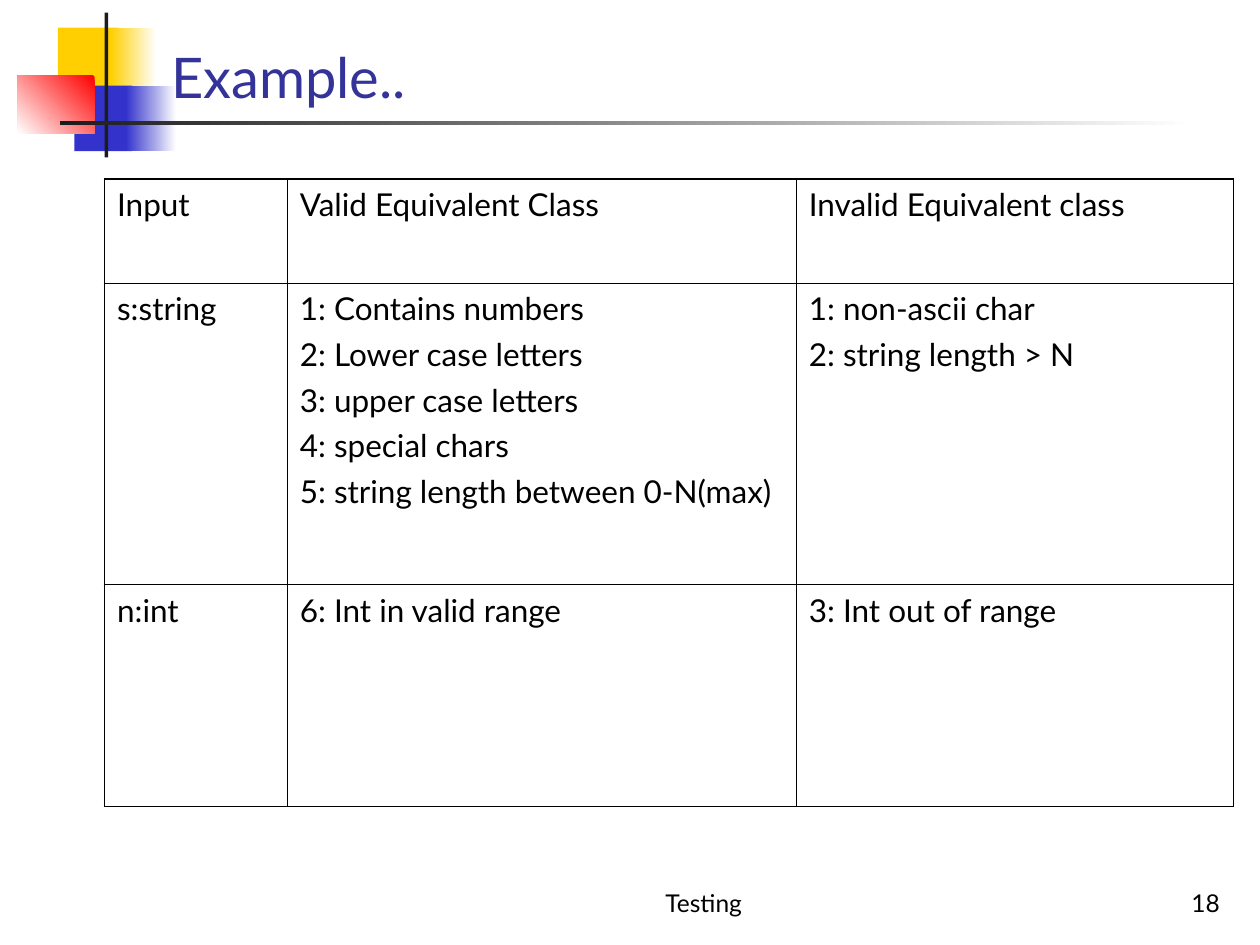
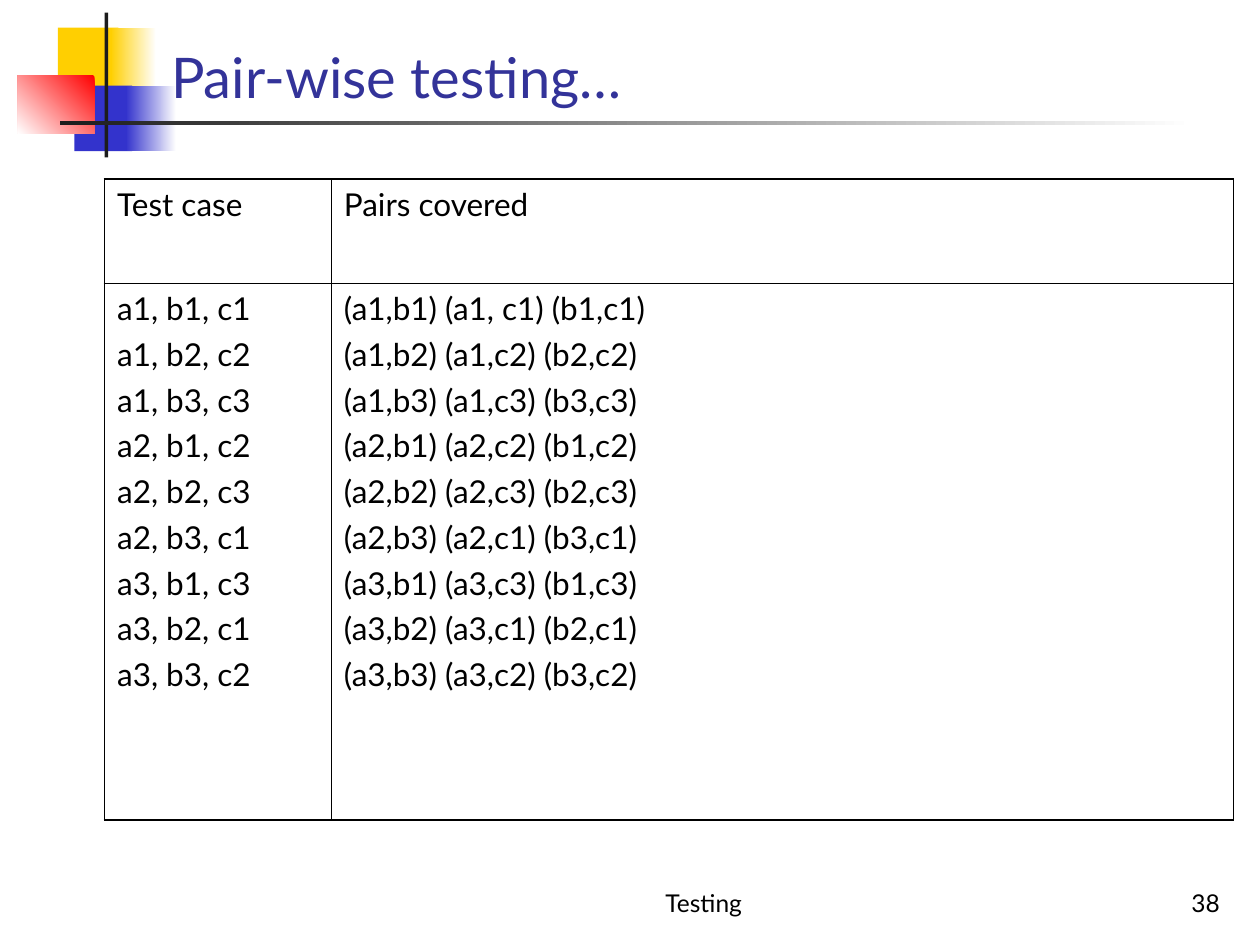
from dataclasses import dataclass
from typing import NamedTuple

from lxml import etree
from pptx import Presentation
from pptx.dml.color import RGBColor
from pptx.enum.shapes import MSO_SHAPE
from pptx.enum.text import MSO_ANCHOR, PP_ALIGN
from pptx.oxml.ns import qn
from pptx.slide import Slide
from pptx.table import _Cell
from pptx.text.text import TextFrame
from pptx.util import Inches, Pt

RECTANGLE = MSO_SHAPE.RECTANGLE
BOTTOM = MSO_ANCHOR.BOTTOM
LEFT, CENTER, RIGHT = PP_ALIGN.LEFT, PP_ALIGN.CENTER, PP_ALIGN.RIGHT


@dataclass(frozen=True)
class Theme:
    font: str = "Lato"
    title: str = "333399"
    ink: str = "000000"
    paper: str = "FFFFFF"
    yellow: str = "FFCF01"
    blue: str = "3333CC"
    red: str = "FF0000"
    rule: str = "1C1C1C"
    title_size: float = 32
    table_size: float = 18
    footer_size: float = 14
    line_gap: float = 4.5
    outer_border: float = 1.08
    inner_border: float = 0.45


THEME = Theme()


class Box(NamedTuple):
    left: float
    top: float
    width: float
    height: float

    def lengths(self) -> list[int]:
        return [Inches(value) for value in self]


class Block(NamedTuple):
    """A rectangle of the corner ornament; fade_to makes it a gradient."""
    box: Box
    color: str
    fade_to: str | None = None
    angle: float = 180


class TableSlide(NamedTuple):
    title: str
    number: int
    columns: list[float]
    row_heights: list[float]
    rows: list[list[str]]


ORNAMENT = [
    Block(Box(0.46, 0.22, 0.48, 0.52), THEME.yellow),
    Block(Box(0.88, 0.22, 0.36, 0.52), THEME.paper, THEME.yellow),
    Block(Box(0.59, 0.68, 0.46, 0.52), THEME.blue),
    Block(Box(1, 0.68, 0.4, 0.52), THEME.paper, THEME.blue),
    Block(Box(0.14, 0.6, 0.61, 0.46), THEME.red, THEME.paper, 225),
    Block(Box(0.83, 0.1, 0.03, 1.15), THEME.rule),
    Block(Box(0.48, 0.96, 9, 0.03), THEME.paper, THEME.rule),
]
TITLE_BOX = Box(1.26, 0.25, 8.52, 0.67)
FOOTER_BOX = Box(4, 6.83, 3.17, 0.5)
NUMBER_BOX = Box(7.7, 6.83, 2.08, 0.5)
TABLE_LEFT, TABLE_TOP = 0.83, 1.42

EQUIVALENCE = TableSlide(
    "Example..", 18, [1.45, 4.04, 3.47], [0.83, 2.39, 1.76],
    [
        ["Input", "Valid Equivalent Class", "Invalid Equivalent class"],
        [
            "s:string",
            "1: Contains numbers\n2: Lower case letters\n"
            "3: upper case letters\n4: special chars\n"
            "5: string length between 0-N(max)",
            "1: non-ascii char\n2: string length > N",
        ],
        ["n:int", "6: Int in valid range", "3: Int out of range"],
    ],
)
TEST_CASES = """a1, b1, c1
a1, b2, c2
a1, b3, c3
a2, b1, c2
a2, b2, c3
a2, b3, c1
a3, b1, c3
a3, b2, c1
a3, b3, c2"""
PAIRS = """(a1,b1) (a1, c1) (b1,c1)
(a1,b2) (a1,c2) (b2,c2)
(a1,b3) (a1,c3) (b3,c3)
(a2,b1) (a2,c2) (b1,c2)
(a2,b2) (a2,c3) (b2,c3)
(a2,b3) (a2,c1) (b3,c1)
(a3,b1) (a3,c3) (b1,c3)
(a3,b2) (a3,c1) (b2,c1)
(a3,b3) (a3,c2) (b3,c2)"""
PAIRWISE = TableSlide(
    "Pair-wise testing…", 38, [1.8, 7.16], [0.83, 4.26],
    [["Test case", "Pairs covered"], [TEST_CASES, PAIRS]],
)


def write(frame: TextFrame, text: str, *, size: float, color: str = THEME.ink,
          align: PP_ALIGN = LEFT, gap: float = 0) -> None:
    """Write one paragraph per line, with gap points between paragraphs."""
    for index, line in enumerate(text.split("\n")):
        paragraph = frame.add_paragraph() if index else frame.paragraphs[0]
        paragraph.alignment = align
        paragraph.space_before = Pt(gap if index else 0)
        run = paragraph.add_run()
        run.text = line
        run.font.name = THEME.font
        run.font.size = Pt(size)
        run.font.color.rgb = RGBColor.from_string(color)


def add_label(slide: Slide, box: Box, text: str, *, size: float,
              color: str = THEME.ink, align: PP_ALIGN = LEFT) -> None:
    frame = slide.shapes.add_textbox(*box.lengths()).text_frame
    frame.word_wrap = True
    frame.vertical_anchor = BOTTOM
    write(frame, text, size=size, color=color, align=align)


def add_block(slide: Slide, block: Block) -> None:
    shape = slide.shapes.add_shape(RECTANGLE, *block.box.lengths())
    shape.shadow.inherit = False
    shape.line.fill.background()
    if block.fade_to is None:
        shape.fill.solid()
        shape.fill.fore_color.rgb = RGBColor.from_string(block.color)
        return
    shape.fill.gradient()
    shape.fill.gradient_angle = block.angle
    for stop, color in zip(shape.fill.gradient_stops, (block.color, block.fade_to)):
        stop.color.rgb = RGBColor.from_string(color)


def set_borders(cell: _Cell, outer_sides: dict[str, bool]) -> None:
    """Draw each side, heavier where it lies on the table's edge."""
    properties = cell._tc.get_or_add_tcPr()
    for index, (side, is_outer) in enumerate(outer_sides.items()):
        width = THEME.outer_border if is_outer else THEME.inner_border
        border = etree.Element(qn(f"a:ln{side}"), w=str(int(Pt(width))))
        fill = etree.SubElement(border, qn("a:solidFill"))
        etree.SubElement(fill, qn("a:srgbClr"), val=THEME.ink)
        properties.insert(index, border)


def add_grid(slide: Slide, content: TableSlide) -> None:
    last_row, last_column = len(content.rows) - 1, len(content.columns) - 1
    box = Box(TABLE_LEFT, TABLE_TOP, sum(content.columns), sum(content.row_heights))
    table = slide.shapes.add_table(last_row + 1, last_column + 1, *box.lengths()).table
    table.first_row = False
    table.horz_banding = False
    for column, width in zip(table.columns, content.columns):
        column.width = Inches(width)
    for r, (height, texts) in enumerate(zip(content.row_heights, content.rows)):
        table.rows[r].height = Inches(height)
        for c, text in enumerate(texts):
            cell = table.cell(r, c)
            cell.fill.background()
            write(cell.text_frame, text, size=THEME.table_size, gap=THEME.line_gap)
            set_borders(cell, {"L": c == 0, "R": c == last_column,
                               "T": r == 0, "B": r == last_row})


def main() -> None:
    deck = Presentation()
    deck.slide_width, deck.slide_height = Inches(10), Inches(7.5)
    blank = deck.slide_layouts[6]
    for content in (EQUIVALENCE, PAIRWISE):
        slide = deck.slides.add_slide(blank)
        for block in ORNAMENT:
            add_block(slide, block)
        add_label(slide, TITLE_BOX, content.title,
                  size=THEME.title_size, color=THEME.title)
        add_grid(slide, content)
        add_label(slide, FOOTER_BOX, "Testing", size=THEME.footer_size, align=CENTER)
        add_label(slide, NUMBER_BOX, str(content.number),
                  size=THEME.footer_size, align=RIGHT)
    deck.save("out.pptx")


if __name__ == "__main__":
    main()
